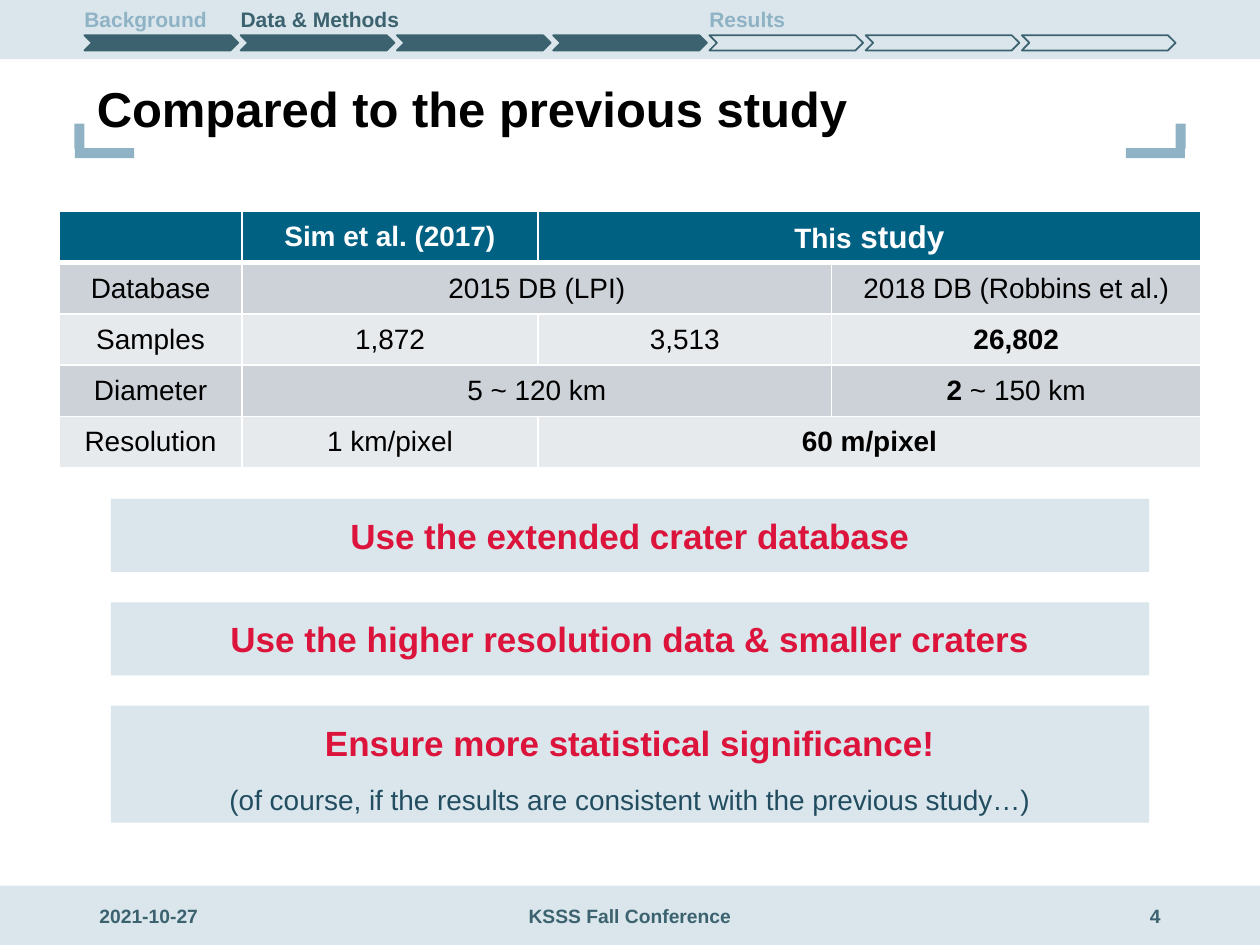
from lxml.etree import SubElement
from pptx import Presentation
from pptx.dml.color import RGBColor
from pptx.enum.shapes import MSO_SHAPE
from pptx.enum.text import MSO_ANCHOR, PP_ALIGN
from pptx.oxml.ns import qn
from pptx.util import Inches, Pt

PALE, STEEL, DARK = "DAE6EC", "8FB3C5", "3B626E"
RED, NAVY, BLACK, WHITE = "DC143C", "224D60", "000000", "FFFFFF"
HEAD, ODD, EVEN = "006182", "CCD2D8", "E7EAED"
LEFT, MID, RIGHT, JUST = PP_ALIGN.LEFT, PP_ALIGN.CENTER, PP_ALIGN.RIGHT, PP_ALIGN.JUSTIFY


def tint(code):
    return RGBColor.from_string(code)


class Deck:
    """Holds the text style and the current slide, and draws each kind of element."""

    def __init__(self, slide, face):
        self.slide, self.face = slide, face

    def label(self, frame, runs, align=LEFT, space=None, pad=(0.1, 0.05)):
        side, edge = (Inches(n) for n in pad)
        form = {"word_wrap": True, "vertical_anchor": MSO_ANCHOR.MIDDLE,
                "margin_left": side, "margin_right": side,
                "margin_top": edge, "margin_bottom": edge}
        for name, value in form.items():
            setattr(frame, name, value)
        para = frame.paragraphs[0]
        para.alignment = align
        if space:
            para.line_spacing = space
        for words, size, color, bold in runs:
            run = para.add_run()
            run.text = words
            run.font.color.rgb = tint(color)
            for name, value in {"name": self.face, "size": Pt(size), "bold": bold}.items():
                setattr(run.font, name, value)

    def text(self, box, run, **form):
        item = self.slide.shapes.add_textbox(*map(Inches, box))
        self.label(item.text_frame, [run], **form)

    def shape(self, box, fill=None, line=None, kind=MSO_SHAPE.RECTANGLE, turn=0):
        item = self.slide.shapes.add_shape(kind, *map(Inches, box))
        item.shadow.inherit = False
        item.rotation = turn
        if fill:
            item.fill.solid()
            item.fill.fore_color.rgb = tint(fill)
        else:
            item.fill.background()
        if line:
            item.line.color.rgb = tint(line)
            item.line.width = Pt(1)
        else:
            item.line.fill.background()
        return item

    def panel(self, box, run, pad):
        self.label(self.shape(box, PALE).text_frame, [run], align=MID, pad=pad)

    def cell(self, cell, fill, base):
        props = cell._tc.get_or_add_tcPr()
        for side in "LRTB":
            width = Pt(base if side == "B" else 1)
            line = SubElement(props, qn("a:ln" + side), w=str(int(width)))
            SubElement(SubElement(line, qn("a:solidFill")), qn("a:srgbClr"), val=WHITE)
        cell.fill.solid()
        cell.fill.fore_color.rgb = tint(fill)
        cell.vertical_anchor = MSO_ANCHOR.MIDDLE

    def table(self, box, cols, rows):
        grid = self.slide.shapes.add_table(len(rows), len(cols), *map(Inches, box)).table
        for col, width in zip(grid.columns, cols):
            col.width = Inches(width)
        for r, row in enumerate(rows):
            fill = HEAD if r == 0 else (EVEN, ODD)[r % 2]
            for c, runs in enumerate(row):
                cell = grid.cell(r, c)
                self.cell(cell, fill, 1 if r else 3)
                if runs is None:
                    grid.cell(r, c - 1).merge(cell)
                elif runs:
                    self.entry(cell, runs)

    def entry(self, cell, runs):
        self.label(cell.text_frame, runs, align=MID)
        cell.vertical_anchor = MSO_ANCHOR.MIDDLE


def head(words, size=16):
    return words, size, WHITE, True


def body(words, bold=False):
    return words, 16, BLACK, bold


def main():
    show = Presentation()
    show.slide_width, show.slide_height = Inches(10), Inches(7.5)
    deck = Deck(show.slides.add_slide(show.slide_layouts[6]), "Arial")

    for top in (7.03, 0):
        deck.shape((0, top, 10, 0.47), PALE)
    for foot, post in ((0.79, 0.53), (9.13, 9.27)):
        deck.shape((foot, 0.98, 0.08, 0.47), STEEL, turn=270)
        deck.shape((post, 1.04, 0.2, 0.08), STEEL, turn=270)

    start, step, done = 0.67, 1.24, 4
    for i in range(7):
        deck.shape((start + i * step, 0.28, 1.22, 0.12), DARK if i < done else None,
                   DARK, MSO_SHAPE.CHEVRON)
    for i, words, color in ((0, "Background", STEEL), (1, "Data & Methods", DARK),
                            (4, "Results", STEEL)):
        deck.text((start + i * step, 0.02, 1.97, 0.22), (words, 12, color, True),
                  align=JUST, space=1.2, pad=(0, 0))

    deck.text((0.67, 0.59, 8.66, 0.59),
              ("Compared to the previous study", 28, BLACK, True), space=0.9)
    for left, width, words, align in ((0.69, 2.25, "2021-10-27", LEFT),
                                      (3.31, 3.38, "KSSS Fall Conference", MID),
                                      (7.06, 2.25, "4", RIGHT)):
        deck.text((left, 7.11, width, 0.31), (words, 11, DARK, True), align=align)

    deck.table((0.47, 1.68, 9.06, 2.03), (1.45, 2.35, 2.33, 2.93), [
        [[], [head("Sim et al. (2017)")], [head("This"), head(" study", 18)], None],
        [[body("Database")], [body("2015 DB (LPI)")], None, [body("2018 DB (Robbins et al.)")]],
        [[body("Samples")], [body("1,872")], [body("3,513")], [body("26,802", True)]],
        [[body("Diameter")], [body("5 ~ 120 km")], None, [body("2", True), body(" ~ 150 km")]],
        [[body("Resolution")], [body("1 km/pixel")], [body("60 m/pixel", True)], None],
    ])

    points = ("Use the extended crater database",
              "Use the higher resolution data & smaller craters",
              "Ensure more statistical significance!")
    for i, words in enumerate(points):
        deck.panel((0.88, 3.96 + i * 0.82, 8.24, 0.58), (words, 20, RED, True), (0.1, 0.12))
    note = "(of course, if the results are consistent with the previous study…)"
    deck.panel((0.88, 6.16, 8.24, 0.37), (note, 16, NAVY, False), (0.1, 0.05))

    show.save("out.pptx")


if __name__ == "__main__":
    main()
